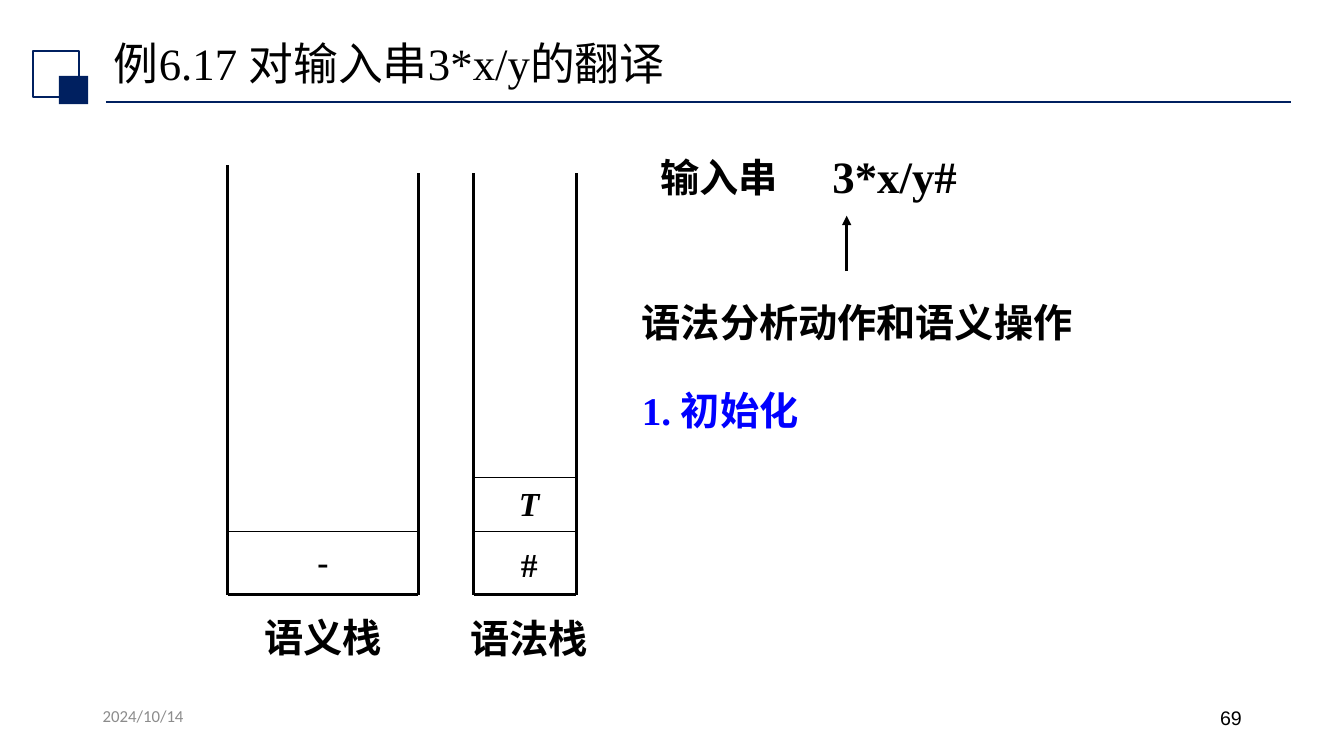
from lxml.etree import SubElement
from pptx import Presentation
from pptx.dml.color import RGBColor
from pptx.enum.shapes import MSO_CONNECTOR, MSO_SHAPE
from pptx.enum.text import MSO_ANCHOR as Anchor, MSO_AUTO_SIZE as AutoSize, PP_ALIGN as Align
from pptx.oxml.ns import qn
from pptx.util import Pt

NAVY, BLACK, BLUE, GREY = "002060", "000000", "0000FF", "8C8C8C"
SERIF = "Times New Roman"


def color(hex_string):
    return RGBColor.from_string(hex_string)


class SlideBuilder:
    def __init__(self, presentation):
        self.slide = presentation.slides.add_slide(presentation.slide_layouts[5])

    def fill_frame(self, frame, text, size, ink=BLACK, font=SERIF, bold=False,
                   italic=False, align=Align.LEFT):
        frame.word_wrap = True
        frame.auto_size = AutoSize.NONE
        paragraph = frame.paragraphs[0]
        paragraph.alignment = align
        run = paragraph.add_run()
        run.text = text
        run.font.size = Pt(size)
        run.font.name = font
        run.font.bold = bold
        run.font.italic = italic
        run.font.color.rgb = color(ink)
        return paragraph

    def title(self, text, left, top, width, height):
        shape = self.slide.shapes.title
        shape.left, shape.top = Pt(left), Pt(top)
        shape.width, shape.height = Pt(width), Pt(height)
        shape.text_frame.vertical_anchor = Anchor.BOTTOM
        self.fill_frame(shape.text_frame, text, 32).line_spacing = 0.9

    def text(self, text, left, top, width, height, size, **style):
        shape = self.slide.shapes.add_textbox(Pt(left), Pt(top), Pt(width), Pt(height))
        self.fill_frame(shape.text_frame, text, size, **style)

    def square(self, left, top, width, height, fill=None, line=None):
        shape = self.slide.shapes.add_shape(
            MSO_SHAPE.RECTANGLE, Pt(left), Pt(top), Pt(width), Pt(height))
        shape.shadow.inherit = False
        if fill:
            shape.fill.solid()
            shape.fill.fore_color.rgb = color(fill)
        else:
            shape.fill.background()
        if line:
            shape.line.color.rgb = color(line)
            shape.line.width = Pt(1.5)
        else:
            shape.line.fill.background()

    def line(self, x1, y1, x2, y2, width=2.25, ink=BLACK, arrow=False):
        connector = self.slide.shapes.add_connector(
            MSO_CONNECTOR.STRAIGHT, Pt(x1), Pt(y1), Pt(x2), Pt(y2))
        connector.line.color.rgb = color(ink)
        connector.line.width = Pt(width)
        properties = connector.element.spPr
        if arrow:
            SubElement(properties.find(qn("a:ln")), qn("a:tailEnd"), type="triangle")
        SubElement(properties, qn("a:effectLst"))

    def stack(self, left, right, left_top, right_top, bottom, dividers):
        self.line(left, left_top, left, bottom)
        self.line(left, bottom, right, bottom)
        self.line(right, bottom, right, right_top)
        for height in dividers:
            self.line(left, height, right, height, width=0.75)


def main():
    presentation = Presentation()
    presentation.slide_width, presentation.slide_height = Pt(960), Pt(540)
    builder = SlideBuilder(presentation)

    # Heading with its ornament and rule
    builder.line(75.6, 72.7, 922.3, 72.7, width=1.25, ink=NAVY)
    builder.square(23.8, 36.7, 32.4, 32.4, line=NAVY)
    builder.square(42, 54.2, 20.9, 20.2, fill=NAVY)
    builder.title("例6.17 对输入串3*x/y的翻译", 74.2, 24.5, 828, 43.9)

    # Footer
    builder.text("2024/10/14", 66.2, 500.4, 216, 28.8, 12, ink=GREY, font="Calibri")
    builder.text("69", 678.2, 500.4, 216, 28.8, 14, font="Arial", align=Align.RIGHT)

    # Semantic stack and syntax stack
    bottom, first_row, second_row = 424.8, 379.4, 341.3
    builder.stack(162.7, 298.8, 118.1, 123.8, bottom, [first_row])
    builder.stack(338.4, 411.8, 123.8, 123.8, bottom, [first_row, second_row])

    # Stack contents and captions
    centred = {"bold": True, "align": Align.CENTER}
    builder.text("-", 168.5, 383, 124.6, 36, 24, **centred)
    builder.text("#", 344.2, 385.2, 67.7, 36, 24, **centred)
    builder.text("T", 344.2, second_row, 67.7, 36, 24, italic=True, **centred)
    builder.text("语义栈", 168.5, 434.2, 124.6, 41, 28, **centred)
    builder.text("语法栈", 315.4, 435.6, 124.6, 41, 28, **centred)

    # Input string with its reading position
    column = 451.4
    builder.text("输入串", column, 105.8, 124.6, 41, 28, **centred)
    builder.text("3*x/y#", 587.5, 103, 113.8, 45.4, 32, bold=True)
    builder.line(604.8, 193.7, 604.8, 154.1, arrow=True)

    # Parsing actions
    builder.text("语法分析动作和语义操作", column, 209.5, 351.4, 41, 28, bold=True)
    builder.text("1. 初始化", column, 272.2, 374.4, 41, 28, ink=BLUE, bold=True)

    presentation.save("out.pptx")


if __name__ == "__main__":
    main()
